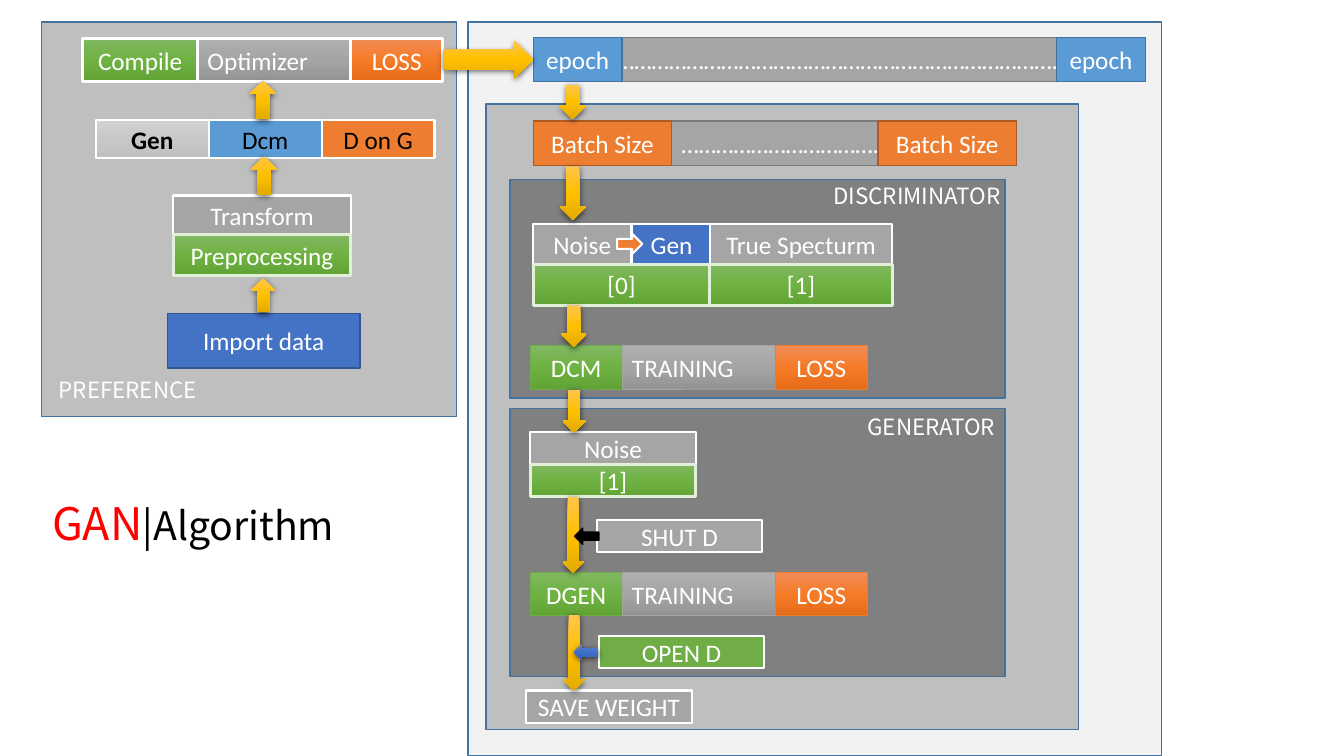
from dataclasses import dataclass

from lxml.etree import SubElement
from copy import deepcopy
from pptx import Presentation
from pptx.dml.color import RGBColor
from pptx.enum.shapes import MSO_SHAPE as Preset
from pptx.enum.text import MSO_ANCHOR as Anchor, PP_ALIGN as Align
from pptx.oxml.ns import qn
from pptx.util import Inches, Pt

COLORS = {
    "white": "FFFFFF", "black": "000000", "red": "FF0000",
    "pale": "F2F2F2", "silver": "BFBFBF", "dark": "808080",
    "gray": "A5A5A5", "gray_edge": "7A7A7A",
    "sky": "5B9BD5", "sky_edge": "43739E",
    "blue": "4472C4", "blue_edge": "325491",
    "orange": "ED7D31", "orange_edge": "AF5C24",
    "green": "70AD47", "mint": "E2F0D9",
}
GRADIENTS = {
    "light_fade": ("D2D2D2", "C8C8C8", "C0C0C0"),
    "green_fade": ("81B861", "6FB242", "62A336"),
    "gray_fade": ("AFAFAF", "A5A5A5", "939393"),
    "orange_fade": ("F18C57", "F67B28", "E56C19"),
    "gold_fade": ("FFC64B", "FFC000", "E3AB00"),
    "blue_fade": ("6183CB", "3E70CA", "3062BB"),
}
BODY_FONT, LABEL_FONT = "Calibri", "Noto Sans CJK KR"
FLOW_X = 5.29  # left edge of the training column
BAR_HEIGHT = 0.43


@dataclass(frozen=True)
class Style:
    """Fill and outline; an empty line means no outline."""
    fill: str
    line: str = ""
    weight: float = 1
    ink: str = "white"
    bold: bool = False


@dataclass(frozen=True)
class Block:
    """A shape with its place in inches."""
    left: float
    top: float
    width: float
    height: float
    style: Style
    text: str = ""
    align: Align = Align.CENTER
    preset: Preset = Preset.RECTANGLE


@dataclass(frozen=True)
class Label:
    """A line of plain text made of (text, size, colour) spans."""
    left: float
    top: float
    width: float
    height: float
    spans: tuple
    align: Align = Align.RIGHT


PLAIN = Style("gray", "white", 1.5)
RESULT = Style("green_fade", "mint", 2.25)
EPOCH = Style("sky", "sky_edge")
BATCH = Style("orange", "orange_edge")
STRIP = Style("gray", "gray_edge")
GOLD = Style("gold_fade")


def rgb(name: str) -> RGBColor:
    """Look up a named colour."""
    return RGBColor.from_string(COLORS[name])


def fill_gradient(shape, hues: tuple) -> None:
    """Fill from top to bottom with evenly spaced stops."""
    shape.fill.gradient()
    shape.fill.gradient_angle = 270
    stop_list = shape._element.spPr.find(".//" + qn("a:gsLst"))
    stop_list.append(deepcopy(stop_list[-1]))
    for index, (stop, hue) in enumerate(zip(shape.fill.gradient_stops, hues)):
        stop.position = index / (len(hues) - 1)
        stop.color.rgb = RGBColor.from_string(hue)


def add_shadow(shape) -> None:
    """Give a shape a soft shadow below it."""
    effects = shape._element.spPr.find(qn("a:effectLst"))
    shadow = SubElement(effects, qn("a:outerShdw"), blurRad=str(Pt(4.5)),
                        dist=str(Pt(1.5)), dir="5400000", algn="ctr", rotWithShape="0")
    tone = SubElement(shadow, qn("a:srgbClr"), val=COLORS["black"])
    SubElement(tone, qn("a:alpha"), val="63000")


def draw_block(page, block: Block) -> None:
    """Draw a shape, with its text if it has any."""
    style = block.style
    box = page.shapes.add_shape(block.preset, Inches(block.left), Inches(block.top),
                                Inches(block.width), Inches(block.height))
    box.shadow.inherit = False
    if style.fill in GRADIENTS:
        fill_gradient(box, GRADIENTS[style.fill])
    else:
        box.fill.solid()
        box.fill.fore_color.rgb = rgb(style.fill)
    if style.line:
        box.line.color.rgb = rgb(style.line)
        box.line.width = Pt(style.weight)
    else:
        box.line.fill.background()
        add_shadow(box)
    if block.text:
        frame = box.text_frame
        frame.text = block.text
        frame.word_wrap = True
        frame.vertical_anchor = Anchor.MIDDLE
        para = frame.paragraphs[0]
        para.alignment = block.align
        font = para.runs[0].font
        font.name, font.size, font.bold = BODY_FONT, Pt(18), style.bold
        font.color.rgb = rgb(style.ink)


def draw_label(page, label: Label) -> None:
    """Draw a text box of coloured spans."""
    box = page.shapes.add_textbox(Inches(label.left), Inches(label.top),
                                  Inches(label.width), Inches(label.height))
    box.text_frame.word_wrap = True
    para = box.text_frame.paragraphs[0]
    para.alignment = label.align
    for text, size, color in label.spans:
        span = para.add_run()
        span.text = text
        span.font.name, span.font.size = LABEL_FONT, Pt(size)
        span.font.color.rgb = rgb(color)


def strip(top: float, width: float, end_width: float, name: str, style: Style,
          dots_left: float, dots: str) -> list[Block]:
    """A dotted strip with the same cell at both ends."""
    far = FLOW_X + width - end_width
    return [Block(dots_left, top, FLOW_X + width - dots_left, 0.44, STRIP, dots, Align.LEFT),
            *(Block(left, top, end_width, 0.44, style, name) for left in (FLOW_X, far))]


def loss_bar(left: float, top: float, first_width: float, first: str, middle: str,
             edges: tuple, weight: float) -> list[Block]:
    """A green, gray and orange bar that ends in LOSS."""
    second = left + first_width
    green, gray, orange = edges
    return [
        Block(left, top, first_width, BAR_HEIGHT, Style("green_fade", green, weight), first),
        Block(second, top, 2.43, BAR_HEIGHT, Style("gray_fade", gray, weight), middle, Align.LEFT),
        Block(second + 1.52, top, 0.91, BAR_HEIGHT, Style("orange_fade", orange, weight), "LOSS"),
    ]


def stack(left: float, top: float, width: float, height: float, step: float,
          upper: str, lower: str) -> list[Block]:
    """A gray cell over a green one."""
    return [Block(left, top, width, height, PLAIN, upper),
            Block(left, top + step, width, height, RESULT, lower)]


panels = [Block(*place, Style(fill, "sky_edge")) for fill, place in (
    ("pale", (4.64, 0.22, 6.88, 7.28)), ("silver", (4.82, 1.03, 5.88, 6.21)),
    ("dark", (5.06, 4.05, 4.91, 2.66)), ("dark", (5.06, 1.78, 4.91, 2.17)),
    ("silver", (0.41, 0.22, 4.12, 3.91)))]

model_styles = (("Gen", Style("light_fade", "white", 1.5, "black", True)),
                ("Dcm", Style("sky", "white", 1.5, "black")),
                ("D on G", Style("orange", "white", 1.5, "black")))
models = [Block(0.95 + 1.12 * index, 1.19, 1.12, 0.38, style, name)
          for index, (name, style) in enumerate(model_styles)]

own_edges, white_edges = ("green", "gray", "orange"), ("white",) * 3
blocks = [
    Block(1.66, 3.11, 1.91, 0.54, Style("blue", "blue_edge"), "Import data"),
    *models,
    *strip(1.2, 4.79, 1.37, "Batch Size", BATCH, 6.66, "…" * 11 + ".."),
    *strip(0.37, 6.07, 0.88, "epoch", EPOCH, 6.02, "…" * 25 + "."),
    Block(FLOW_X, 2.22, 0.97, 0.41, PLAIN, "Noise"),
    Block(6.27, 2.22, 0.78, 0.41, Style("blue", "white", 1.5), "Gen"),
    Block(6.12, 2.32, 0.25, 0.2, Style("orange", "white", 1.5), preset=Preset.RIGHT_ARROW),
    Block(FLOW_X, 2.62, 1.75, 0.41, RESULT, "[0]"),
    *stack(7.04, 2.22, 1.81, 0.41, 0.4, "True Specturm", "[1]"),
    *loss_bar(5.26, 3.43, 0.91, "DCM", "TRAINING", own_edges, 0.5),
    *stack(5.26, 4.29, 1.64, 0.32, 0.32, "Noise", "[1]"),
    *loss_bar(5.26, 5.68, 0.91, "DGEN", "TRAINING", own_edges, 0.5),
    Block(5.92, 5.16, 1.64, 0.32, PLAIN, "SHUT D"),
    Block(5.94, 6.31, 1.64, 0.32, Style("green", "white", 1.5), "OPEN D"),
    Block(5.22, 6.85, 1.64, 0.32, PLAIN, "SAVE WEIGHT"),
    *stack(1.72, 1.94, 1.76, 0.4, 0.39, "Transform", "Preprocessing"),
    *loss_bar(0.82, 0.38, 1.14, "Compile", "Optimizer", white_edges, 2.25),
]

up_places = ((2.49, 2.76, 0.24, 0.34), (2.49, 1.55, 0.26, 0.38), (2.48, 0.8, 0.26, 0.38))
down_places = ((5.55, 1.65, 0.26, 0.53), (5.55, 0.84, 0.26, 0.34), (5.56, 3.03, 0.26, 0.41),
               (5.58, 3.87, 0.23, 0.42), (5.58, 4.93, 0.21, 0.75), (5.59, 6.1, 0.21, 0.75))
arrows = [
    *(Block(*place, GOLD, preset=Preset.UP_ARROW) for place in up_places),
    Block(4.39, 0.4, 0.9, 0.38, GOLD, preset=Preset.STRIPED_RIGHT_ARROW),
    *(Block(*place, GOLD, preset=Preset.DOWN_ARROW) for place in down_places),
    Block(5.7, 5.24, 0.24, 0.16, Style("black", "black"), preset=Preset.LEFT_ARROW),
    Block(5.69, 6.39, 0.24, 0.16, Style("blue_fade"), preset=Preset.LEFT_ARROW),
]
labels = [
    Label(0.42, 4.87, 3.64, 1.11, (("GAN", 32, "red"), ("|Algorithm", 28, "black")), Align.LEFT),
    *(Label(left, top, width, 0.84, ((name, 16, "white"),)) for name, left, top, width in (
        ("GENERATOR", 8.21, 4.05, 1.76), ("DISCRIMINATOR", 7.87, 1.76, 2.15),
        ("PREFERENCE", 0.29, 3.68, 1.76))),
]

deck = Presentation()
deck.slide_width, deck.slide_height = Inches(13.33), Inches(7.5)
page = deck.slides.add_slide(deck.slide_layouts[6])
for block in panels + blocks + arrows:
    draw_block(page, block)
for label in labels:
    draw_label(page, label)
deck.save("out.pptx")
